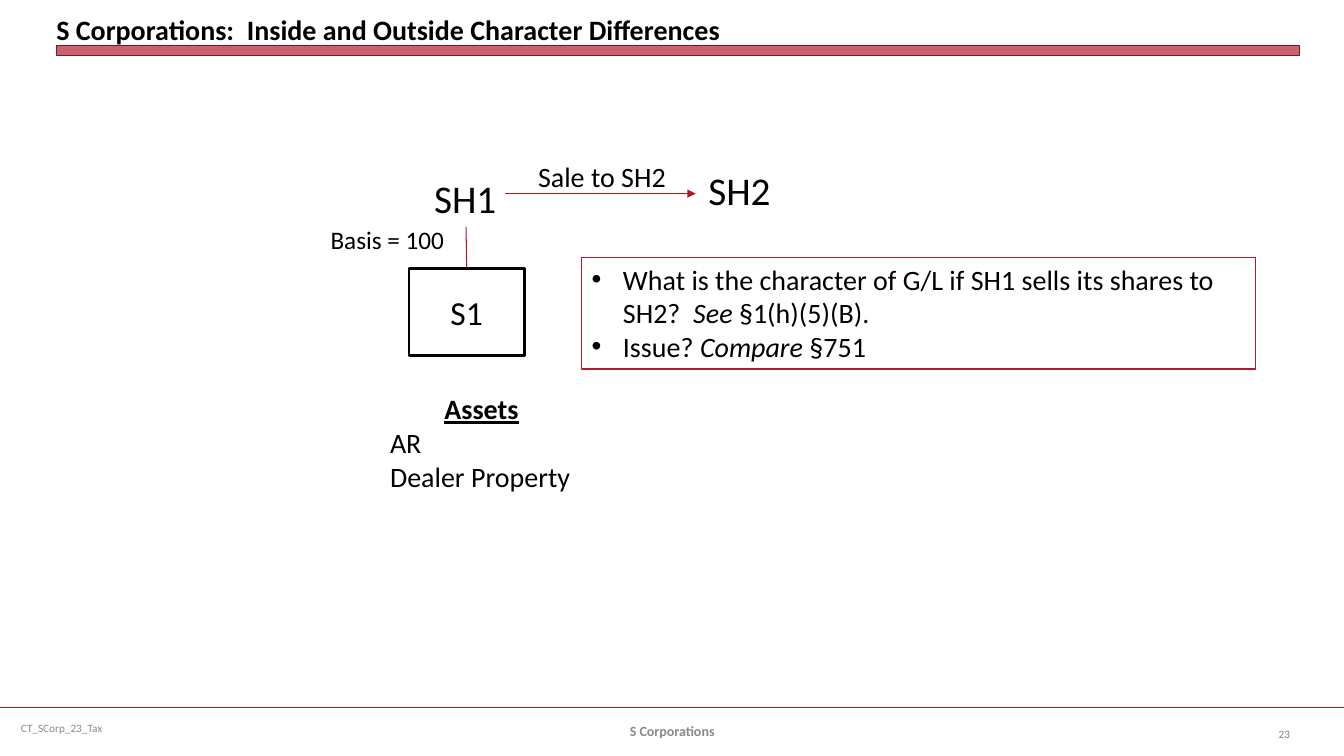
from lxml import etree
from pptx import Presentation
from pptx.dml.color import RGBColor
from pptx.enum.shapes import MSO_CONNECTOR, MSO_SHAPE
from pptx.enum.text import MSO_ANCHOR, MSO_AUTO_SIZE, PP_ALIGN
from pptx.oxml.ns import qn
from pptx.util import Cm, Pt

STRAIGHT = MSO_CONNECTOR.STRAIGHT
RECTANGLE = MSO_SHAPE.RECTANGLE
TOP, MIDDLE, BOTTOM = MSO_ANCHOR.TOP, MSO_ANCHOR.MIDDLE, MSO_ANCHOR.BOTTOM
LEFT, CENTER, RIGHT = PP_ALIGN.LEFT, PP_ALIGN.CENTER, PP_ALIGN.RIGHT
FIT_SHAPE = MSO_AUTO_SIZE.SHAPE_TO_FIT_TEXT

WIDTH, HEIGHT = 33.87, 19.05
BLACK, GREY, PAGE_GREY = "000000", "898989", "808080"
RED, LINK_RED, DARK_RED = "B01C2E", "B0182A", "821522"
BULLET_INDENT = 0.79
TOP_SIDE, BOTTOM_SIDE = 0, 2


def rgb(color):
    return RGBColor.from_string(color)


class SlideBuilder:
    font_name = "Calibri"

    def __init__(self, slide):
        self.slide = slide

    def fill_text(self, shape, paragraphs, size, color=BLACK, align=LEFT,
                  anchor=TOP, bullets=False):
        """Fill a shape; a paragraph is a list of (text, style letters b, i, u)."""
        frame = shape.text_frame
        frame.vertical_anchor = anchor
        for index, runs in enumerate(paragraphs):
            paragraph = frame.add_paragraph() if index else frame.paragraphs[0]
            paragraph.alignment = align
            if bullets:
                self.add_bullet(paragraph)
            for text, style in runs:
                run = paragraph.add_run()
                run.text = text
                font = run.font
                font.name, font.size = self.font_name, Pt(size)
                font.color.rgb = rgb(color)
                font.bold, font.italic = "b" in style, "i" in style
                font.underline = "u" in style

    def add_bullet(self, paragraph):
        properties = paragraph._p.get_or_add_pPr()
        properties.set("marL", str(Cm(BULLET_INDENT)))
        properties.set("indent", str(-Cm(BULLET_INDENT)))
        etree.SubElement(properties, qn("a:buFont")).set("typeface", "Arial")
        etree.SubElement(properties, qn("a:buChar")).set("char", "•")

    def text(self, box, paragraphs, size, wrap=True, margins=True, **style):
        shape = self.slide.shapes.add_textbox(*map(Cm, box))
        frame = shape.text_frame
        frame.word_wrap = wrap
        if not wrap:
            frame.auto_size = FIT_SHAPE
        if not margins:
            frame.margin_left = frame.margin_right = 0
            frame.margin_top = frame.margin_bottom = 0
        self.fill_text(shape, paragraphs, size, **style)
        return shape

    def label(self, box, text, size):
        return self.text(box, [[(text, "")]], size, wrap=False)

    def rectangle(self, box, line, line_width, fill=None, opacity=100):
        shape = self.slide.shapes.add_shape(RECTANGLE, *map(Cm, box))
        shape.shadow.inherit = False
        shape.line.color.rgb = rgb(line)
        shape.line.width = Pt(line_width)
        if fill:
            shape.fill.solid()
            shape.fill.fore_color.rgb = rgb(fill)
            color = shape._element.spPr.find(
                qn("a:solidFill") + "/" + qn("a:srgbClr"))
            etree.SubElement(color, qn("a:alpha")).set("val", str(opacity * 1000))
        else:
            shape.fill.background()
        return shape

    def line(self, start, end, color, width, arrow=False):
        connector = self.slide.shapes.add_connector(
            STRAIGHT, *map(Cm, (*start, *end)))
        connector.line.color.rgb = rgb(color)
        connector.line.width = Pt(width)
        if arrow:
            outline = connector._element.spPr.find(qn("a:ln"))
            etree.SubElement(outline, qn("a:tailEnd")).set("type", "triangle")
        etree.SubElement(connector._element.spPr, qn("a:effectLst"))
        return connector


def add_frame(builder):
    """Draw the title, its bar and the footer."""
    builder.line((0, 17.83), (WIDTH, 17.83), RED, 1.25)
    builder.text((0.28, 17.83, 8.74, 1.02), [[("CT_SCorp_23_Tax", "")]], 8,
                 color=GREY, anchor=MIDDLE)
    builder.rectangle((1.42, 1.14, 31.32, 0.25), DARK_RED, 0, RED, 69)
    title = "S Corporations:  Inside and Outside Character Differences"
    builder.text((1.42, 0.13, 31.32, 1.02), [[(title, "b")]], 20,
                 margins=False, anchor=BOTTOM)
    builder.text((31.06, 17.98, 1.7, 1.02), [[("23", "")]], 8,
                 color=PAGE_GREY, align=RIGHT, anchor=MIDDLE)
    builder.text((11.58, 17.91, 10.72, 1.02), [[("S Corporations", "b")]], 10,
                 color=GREY, align=CENTER, anchor=MIDDLE)


def add_sale_diagram(builder):
    corporation = builder.rectangle((10.31, 6.76, 2.9, 2.21), BLACK, 2)
    builder.fill_text(corporation, [[("S1", "")]], 24,
                      align=CENTER, anchor=MIDDLE)
    seller = builder.label((10.69, 4.27, 2.11, 1.45), "SH1", 28)
    ownership = builder.line((11.74, 5.72), (11.76, 6.76), LINK_RED, 0.75)
    ownership.begin_connect(seller, BOTTOM_SIDE)
    ownership.end_connect(corporation, TOP_SIDE)
    builder.label((8.08, 5.54, 3.4, 1.02), "Basis = 100", 18)

    assets = builder.text(
        (9.58, 9.75, 5.11, 2.82),
        [[("Assets", "bu")], [("AR", "")], [("Dealer Property", "")]],
        20, wrap=False)
    assets.text_frame.paragraphs[0].alignment = CENTER

    builder.line((12.73, 4.88), (17.53, 4.88), LINK_RED, 0.75, arrow=True)
    builder.label((13.31, 3.89, 3.76, 1.12), "Sale to SH2", 20)
    builder.label((17.6, 4.06, 2.11, 1.45), "SH2", 28)


def add_questions(builder):
    questions = builder.rectangle((14.66, 6.48, 16.97, 2.82), RED, 0.75)
    questions.text_frame.word_wrap = True
    questions.text_frame.auto_size = FIT_SHAPE
    builder.fill_text(questions, [
        [("What is the character of G/L if SH1 sells its shares to SH2?  ", ""),
         ("See ", "i"), ("§1(h)(5)(B).", "")],
        [("Issue? ", ""), ("Compare ", "i"), ("§751", "")],
    ], 20, bullets=True)


def main():
    presentation = Presentation()
    presentation.slide_width, presentation.slide_height = Cm(WIDTH), Cm(HEIGHT)
    blank = presentation.slide_layouts[6]
    builder = SlideBuilder(presentation.slides.add_slide(blank))
    add_frame(builder)
    add_sale_diagram(builder)
    add_questions(builder)
    presentation.save("out.pptx")


if __name__ == "__main__":
    main()
